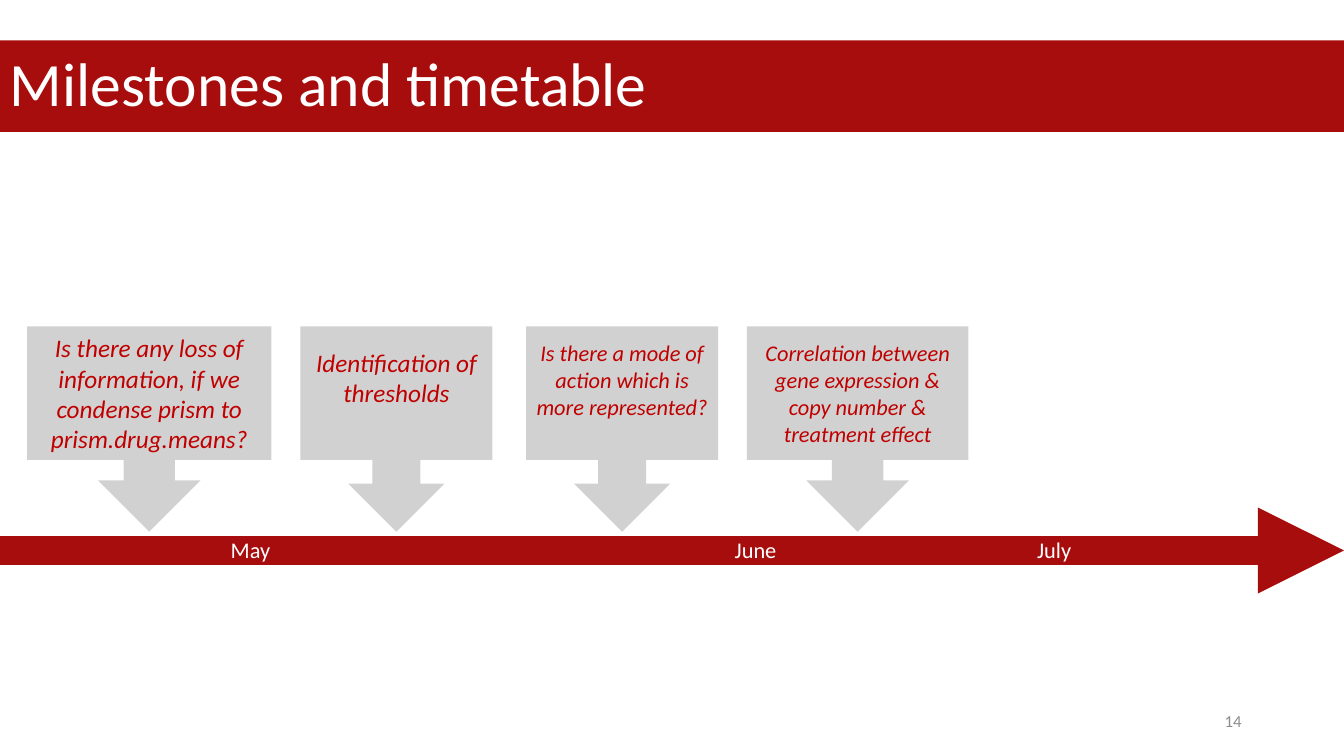
from lxml import etree
from pptx import Presentation
from pptx.dml.color import RGBColor
from pptx.enum.shapes import MSO_CONNECTOR, MSO_SHAPE
from pptx.enum.text import MSO_ANCHOR, PP_ALIGN
from pptx.oxml.ns import qn
from pptx.util import Pt

RECTANGLE, CALLOUT = MSO_SHAPE.RECTANGLE, MSO_SHAPE.DOWN_ARROW_CALLOUT
STRAIGHT = MSO_CONNECTOR.STRAIGHT
LEFT, CENTER, RIGHT = PP_ALIGN.LEFT, PP_ALIGN.CENTER, PP_ALIGN.RIGHT
TOP, MIDDLE = MSO_ANCHOR.TOP, MSO_ANCHOR.MIDDLE

TITLE = "Milestones and timetable"
PAGE_NUMBER = "14"
# Month and its tab stop
MONTHS = [("May", 144), ("June", 504), ("July", 720)]
# Question, left, width, type size, lines kept free below the text
MILESTONES = [
    ("Is there any loss of information, if we condense prism to prism.drug.means?",
     19.4, 174.5, "large", 0),
    ("Identification of thresholds", 214.6, 137.2, "large", 1),
    ("Is there a mode of action which is more represented?", 375.8, 137.2, "medium", 1),
    ("Correlation between gene expression & copy number & treatment effect",
     533.5, 158.2, "medium", 0),
]

THEME = {
    "font": "Calibri",
    "colors": {"band": "A70D0D", "callout": "A5A5A5", "question": "C00000",
               "light": "FFFFFF", "number": "8C8C8C"},
    "sizes": {"title": 44, "large": 18, "medium": 16, "small": 12},
}
SLIDE_WIDTH, SLIDE_HEIGHT = 960, 540
TITLE_TOP, TITLE_HEIGHT = 28.8, 65.5
CALLOUT_TOP, CALLOUT_HEIGHT = 233.2, 146.6
CALLOUT_ALPHA = 50
TIMELINE_Y, TIMELINE_WEIGHT = 393.2, 20.5
MONTHS_BOX = (13.7, 379.4, 946.3, 26.6)
NUMBER_BOX = (678, 500.4, 216, 28.8)
LINE_FACTOR, INSET = 1.22, 3.6


def color(name):
    return RGBColor.from_string(THEME["colors"][name])


def write(shape, text, size, color_name, alignment=LEFT, anchor=MIDDLE, italic=False,
          bottom=INSET):
    frame = shape.text_frame
    frame_format = {"word_wrap": True, "vertical_anchor": anchor, "margin_bottom": Pt(bottom)}
    for name, value in frame_format.items():
        setattr(frame, name, value)
    paragraph = frame.paragraphs[0]
    paragraph.alignment = alignment
    run = paragraph.add_run()
    run.text = text
    run_format = {"name": THEME["font"], "size": Pt(THEME["sizes"][size]), "italic": italic}
    for name, value in run_format.items():
        setattr(run.font, name, value)
    run.font.color.rgb = color(color_name)
    return paragraph


def add_filled(slide, kind, box, color_name):
    shape = slide.shapes.add_shape(kind, *map(Pt, box))
    shape.shadow.inherit = False
    shape.fill.solid()
    shape.fill.fore_color.rgb = color(color_name)
    shape.line.fill.background()
    return shape


def add_title(slide):
    band = add_filled(slide, RECTANGLE, (0, TITLE_TOP, SLIDE_WIDTH, TITLE_HEIGHT), "band")
    write(band, TITLE, "title", "light").line_spacing = 0.9


def add_timeline(slide):
    y = Pt(TIMELINE_Y)
    timeline = slide.shapes.add_connector(STRAIGHT, 0, y, Pt(SLIDE_WIDTH), y)
    timeline.line.width = Pt(TIMELINE_WEIGHT)
    timeline.line.color.rgb = color("band")
    etree.SubElement(timeline.line._get_or_add_ln(), qn("a:tailEnd"), type="triangle")
    etree.SubElement(timeline._element.spPr, qn("a:effectLst"))


def add_milestone(slide, question, left, width, size, free_lines):
    box = (left, CALLOUT_TOP, width, CALLOUT_HEIGHT)
    callout = add_filled(slide, CALLOUT, box, "callout")
    fill_color = callout._element.spPr.find(qn("a:solidFill"))[0]
    etree.SubElement(fill_color, qn("a:alpha"), val=str(CALLOUT_ALPHA * 1000))
    bottom = INSET + free_lines * THEME["sizes"][size] * LINE_FACTOR
    write(callout, question, size, "question", CENTER, italic=True, bottom=bottom)


def add_months(slide):
    box = slide.shapes.add_textbox(*map(Pt, MONTHS_BOX))
    text = "".join("\t" + month for month, _ in MONTHS)
    paragraph = write(box, text, "medium", "light", anchor=TOP)
    tab_list = etree.SubElement(paragraph._p.get_or_add_pPr(), qn("a:tabLst"))
    for _, stop in MONTHS:
        etree.SubElement(tab_list, qn("a:tab"), pos=str(Pt(stop)), algn="l")


def main():
    presentation = Presentation()
    presentation.slide_width, presentation.slide_height = Pt(SLIDE_WIDTH), Pt(SLIDE_HEIGHT)
    slide = presentation.slides.add_slide(presentation.slide_layouts[6])
    add_title(slide)
    add_timeline(slide)
    for milestone in MILESTONES:
        add_milestone(slide, *milestone)
    add_months(slide)
    number = slide.shapes.add_textbox(*map(Pt, NUMBER_BOX))
    write(number, PAGE_NUMBER, "small", "number", RIGHT)
    presentation.save("out.pptx")


if __name__ == "__main__":
    main()
